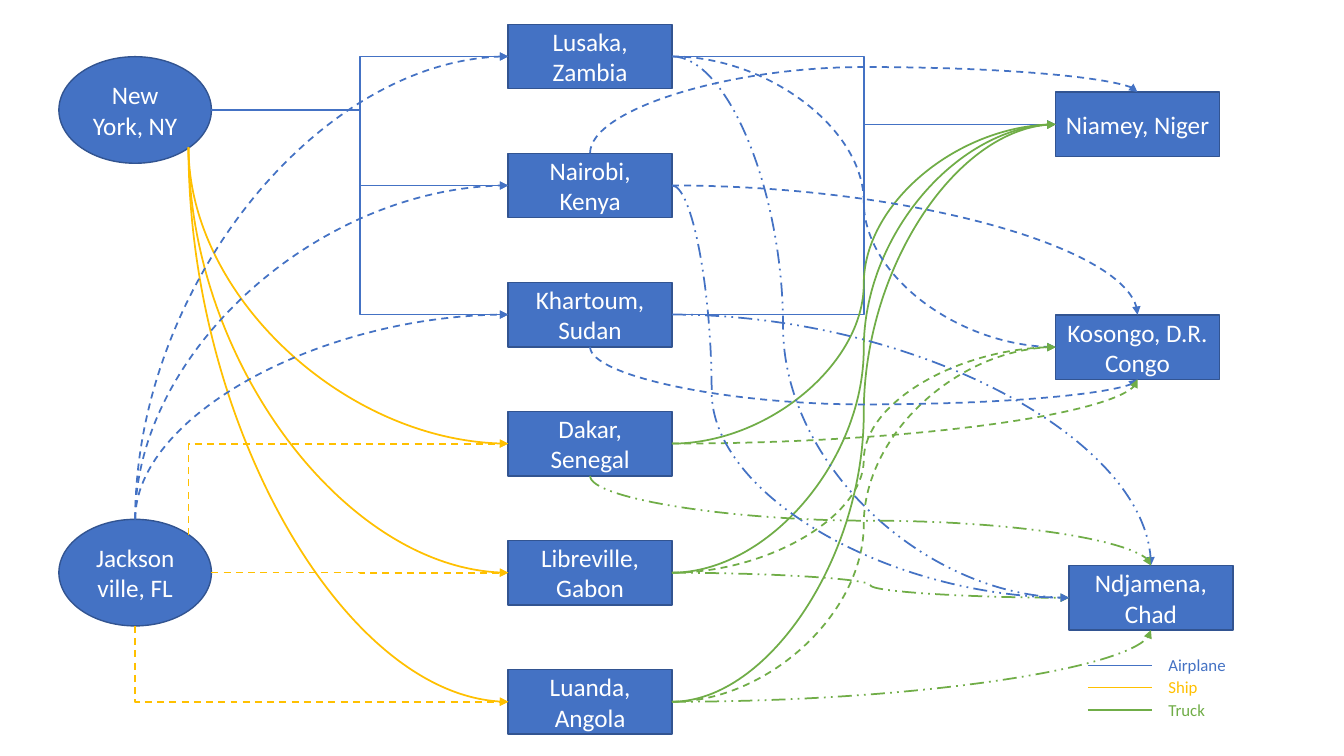
from lxml import etree
from pptx import Presentation
from pptx.dml.color import RGBColor
from pptx.enum.dml import MSO_LINE
from pptx.enum.shapes import MSO_CONNECTOR, MSO_SHAPE
from pptx.enum.text import MSO_ANCHOR, PP_ALIGN
from pptx.oxml.ns import qn
from pptx.util import Inches, Pt

RECTANGLE, OVAL = MSO_SHAPE.RECTANGLE, MSO_SHAPE.OVAL
STRAIGHT, ELBOW, CURVE = MSO_CONNECTOR.STRAIGHT, MSO_CONNECTOR.ELBOW, MSO_CONNECTOR.CURVE
SOLID, DASH, DASH_DOT = MSO_LINE.SOLID, MSO_LINE.DASH, MSO_LINE.DASH_DOT_DOT
CENTER, LEFT_ALIGNED = PP_ALIGN.CENTER, PP_ALIGN.LEFT
MIDDLE, AT_TOP = MSO_ANCHOR.MIDDLE, MSO_ANCHOR.TOP

BLUE = RGBColor(0x44, 0x72, 0xC4)
NAVY = RGBColor(0x32, 0x54, 0x91)
GOLD = RGBColor(0xFF, 0xC0, 0x00)
GREEN = RGBColor(0x70, 0xAD, 0x47)
WHITE = RGBColor(0xFF, 0xFF, 0xFF)
MODES = {"Airplane": BLUE, "Ship": GOLD, "Truck": GREEN}

SLIDE_WIDTH, SLIDE_HEIGHT = Inches(13.33), Inches(7.5)
COLUMN, ROW = SLIDE_WIDTH / 100, SLIDE_HEIGHT / 100
CITY_WIDTH, CITY_HEIGHT = 12.19, 8.54
PORT_HEIGHT = 14.1

TOP, LEFT, BOTTOM, RIGHT = (0.5, 0), (0, 0.5), (0.5, 1), (1, 0.5)
UPPER_LEFT, LOWER_LEFT = (0.15, 0.15), (0.15, 0.85)
LOWER_RIGHT, UPPER_RIGHT = (0.85, 0.85), (0.85, 0.15)
CITY_SITES = [TOP, LEFT, BOTTOM, RIGHT]
PORT_SITES = [TOP, UPPER_LEFT, LEFT, LOWER_LEFT, BOTTOM, LOWER_RIGHT, RIGHT, UPPER_RIGHT]
SIDEWAYS = (LEFT, RIGHT)
UPWARD = (TOP, UPPER_RIGHT)

NEW_YORK, JACKSONVILLE = PORTS = ["New York, NY", "Jacksonville, FL"]
LUSAKA, NAIROBI, KHARTOUM, DAKAR, LIBREVILLE, LUANDA = HUBS = [
    "Lusaka, Zambia", "Nairobi, Kenya", "Khartoum, Sudan",
    "Dakar, Senegal", "Libreville, Gabon", "Luanda, Angola"]
NIAMEY, KOSONGO, NDJAMENA = "Niamey, Niger", "Kosongo, D.R. Congo", "Ndjamena, Chad"
DESTINATIONS = [(NIAMEY, 0, 0), (KOSONGO, 0, 0.414), (NDJAMENA, 1, 0.88)]

AIR_HUBS = [LUSAKA, NAIROBI, KHARTOUM]
SEA_HUBS = [DAKAR, LIBREVILLE, LUANDA]

ROUTES = (
    [(NEW_YORK, RIGHT, hub, LEFT, ELBOW, "Airplane", SOLID, 0.5) for hub in AIR_HUBS]
    + [(NEW_YORK, LOWER_RIGHT, hub, LEFT, CURVE, "Ship", SOLID, 0.5) for hub in SEA_HUBS]
    + [(JACKSONVILLE, side, hub, LEFT, ELBOW, "Ship", DASH, 0.5)
       for side, hub in zip((UPPER_RIGHT, RIGHT, BOTTOM), SEA_HUBS)]
    + [(JACKSONVILLE, TOP, hub, LEFT, CURVE, "Airplane", DASH, 0.5) for hub in AIR_HUBS]
    + [(hub, RIGHT, NIAMEY, LEFT, ELBOW, "Airplane", SOLID, 0.5) for hub in (LUSAKA, KHARTOUM)]
    + [(hub, RIGHT, NIAMEY, LEFT, CURVE, "Truck", SOLID, 0.5) for hub in SEA_HUBS]
    + [(hub, RIGHT, KOSONGO, LEFT, CURVE, mode, DASH, 0.5)
       for hub, mode in ((LUSAKA, "Airplane"), (LIBREVILLE, "Truck"), (LUANDA, "Truck"))]
    + [
        (NAIROBI, RIGHT, KOSONGO, TOP, CURVE, "Airplane", DASH, 0.5),
        (KHARTOUM, BOTTOM, KOSONGO, BOTTOM, CURVE, "Airplane", DASH, 1.77),
        (DAKAR, RIGHT, KOSONGO, BOTTOM, CURVE, "Truck", DASH, 0.5),
        (LUSAKA, RIGHT, NDJAMENA, LEFT, CURVE, "Airplane", DASH_DOT, 0.28),
        (LIBREVILLE, RIGHT, NDJAMENA, LEFT, CURVE, "Truck", DASH_DOT, 0.5),
        (NAIROBI, RIGHT, NDJAMENA, LEFT, CURVE, "Airplane", DASH_DOT, 0.1),
        (KHARTOUM, RIGHT, NDJAMENA, TOP, CURVE, "Airplane", DASH_DOT, 0.5),
        (LUANDA, RIGHT, NDJAMENA, BOTTOM, CURVE, "Truck", DASH_DOT, 0.5),
        (DAKAR, BOTTOM, NDJAMENA, TOP, CURVE, "Truck", DASH_DOT, 0.5),
        (NAIROBI, TOP, NIAMEY, TOP, CURVE, "Airplane", DASH, 1.41),
    ]
)


def on_slide(left, top, width, height):
    return round(left * COLUMN), round(top * ROW), round(width * COLUMN), round(height * ROW)


def write(holder, text, size, color, align=LEFT_ALIGNED, anchor=AT_TOP):
    frame = holder.text_frame
    frame.word_wrap = True
    frame.vertical_anchor = anchor
    paragraph = frame.paragraphs[0]
    paragraph.alignment = align
    run = paragraph.add_run()
    run.text = text
    run.font.name = "Calibri"
    run.font.size = Pt(size)
    run.font.color.rgb = color


def add_place(slide, name, outline, box):
    place = slide.shapes.add_shape(outline, *on_slide(*box))
    place.shadow.inherit = False
    place.fill.solid()
    place.fill.fore_color.rgb = BLUE
    place.line.color.rgb = NAVY
    place.line.width = Pt(1)
    write(place, name, 18, WHITE, align=CENTER, anchor=MIDDLE)
    return place


def add_stroke(slide, kind, start, end, color, dash=SOLID):
    stroke = slide.shapes.add_connector(kind, *start, *end)
    stroke.line.color.rgb = color
    stroke.line.width = Pt(1.25)
    if dash != SOLID:
        stroke.line.dash_style = dash
    etree.SubElement(stroke._element.spPr, qn("a:effectLst"))
    return stroke


def add_ports(slide, left, top, width, height):
    step = (height - PORT_HEIGHT) / (len(PORTS) - 1)
    return {name: add_place(slide, name, OVAL, (left, top + i * step, width, PORT_HEIGHT))
            for i, name in enumerate(PORTS)}


def add_hubs(slide, left, top, width, height):
    step = (height - CITY_HEIGHT) / (len(HUBS) - 1)
    return {name: add_place(slide, name, RECTANGLE, (left, top + i * step, width, CITY_HEIGHT))
            for i, name in enumerate(HUBS)}


def add_destinations(slide, left, top, width, height):
    spare = width - CITY_WIDTH
    return {name: add_place(slide, name, RECTANGLE,
                            (left + across * spare, top + down * height, CITY_WIDTH, CITY_HEIGHT))
            for name, across, down in DESTINATIONS}


def add_legend(slide, left, top, width, height):
    label_height = 0.41 * height
    step = (height - label_height) / (len(MODES) - 1)
    for i, (mode, color) in enumerate(MODES.items()):
        row_top = top + i * step
        x, y, length, _ = on_slide(left, row_top + label_height / 2, 0.43 * width, 0)
        add_stroke(slide, STRAIGHT, (x, y), (x + length, y), color)
        label = slide.shapes.add_textbox(
            *on_slide(left + 0.475 * width, row_top, 0.525 * width, label_height))
        write(label, mode, 12, color)


def site_point(place, side):
    return (round(place.left + side[0] * place.width),
            round(place.top + side[1] * place.height))


def add_route(slide, places, origin, leave, target, arrive, kind, mode, dash, bend):
    start = x0, y0 = site_point(places[origin], leave)
    end = x1, y1 = site_point(places[target], arrive)
    route = add_stroke(slide, kind, start, end, MODES[mode], dash)
    properties = route._element.spPr
    geometry = properties.find(qn("a:prstGeom"))
    if (leave in SIDEWAYS) != (arrive in SIDEWAYS):
        geometry.set("prst", geometry.get("prst").replace("3", "2"))
    elif bend != 0.5:
        etree.SubElement(geometry.find(qn("a:avLst")), qn("a:gd"),
                         name="adj1", fmla=f"val {round(bend * 100000)}")

    if leave not in SIDEWAYS:
        across, down = abs(x1 - x0), abs(y1 - y0)
        route.left, route.top = (x0 + x1 - down) // 2, (y0 + y1 - across) // 2
        route.width, route.height = down, across
        turn = properties.find(qn("a:xfrm"))
        rising = leave in UPWARD
        turn.set("rot", str((90 if rising else 270) * 60000))
        turn.set("flipH", "1")
        turn.set("flipV", "1" if rising else "0")

    links = route._element.find(qn("p:nvCxnSpPr")).find(qn("p:cNvCxnSpPr"))
    for tag, name, side in (("a:stCxn", origin, leave), ("a:endCxn", target, arrive)):
        sites = PORT_SITES if name in PORTS else CITY_SITES
        etree.SubElement(links, qn(tag), id=str(places[name].shape_id), idx=str(sites.index(side)))
    etree.SubElement(properties.find(qn("a:ln")), qn("a:tailEnd"), type="triangle")


def build_shipping_network(presentation):
    slide = presentation.slides.add_slide(presentation.slide_layouts[6])
    places = {
        **add_hubs(slide, 37.81, 3.2, CITY_WIDTH, 93.9),
        **add_destinations(slide, 78.54, 12.19, 13.19, 71.15),
        **add_ports(slide, 4.38, 7.5, 11.35, 75.3),
    }
    add_legend(slide, 80.95, 86, 11.05, 9.9)
    for route in ROUTES:
        add_route(slide, places, *route)


presentation = Presentation()
presentation.slide_width, presentation.slide_height = SLIDE_WIDTH, SLIDE_HEIGHT
build_shipping_network(presentation)
presentation.save("out.pptx")
